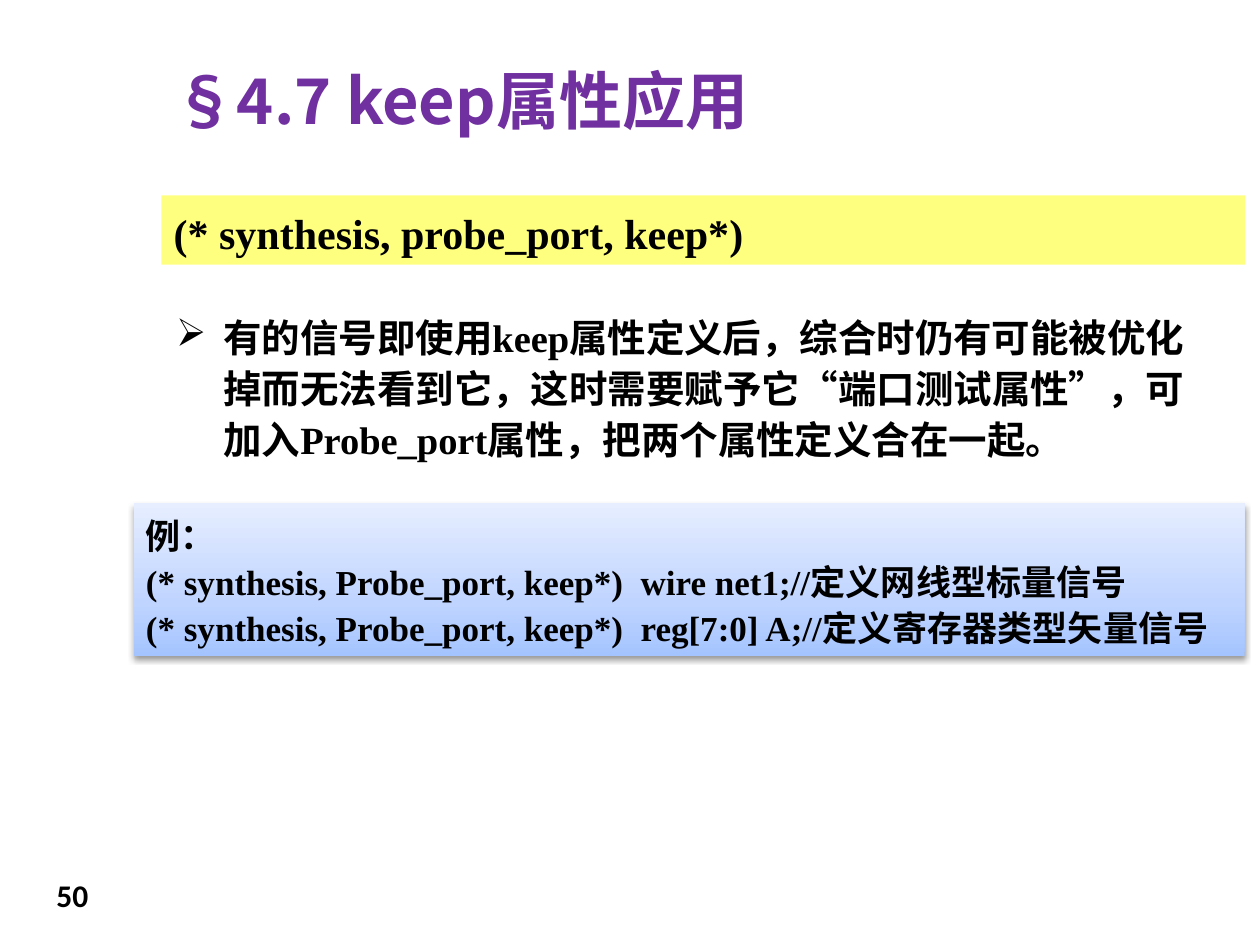
import pptx
import pptx.util
import pptx.dml.color
import pptx.enum.shapes
import pptx.enum.text
import pptx.oxml
import pptx.oxml.ns
from lxml import etree

Pt = pptx.util.Pt
RGBColor = pptx.dml.color.RGBColor
ANCHOR = pptx.enum.text.MSO_ANCHOR
NAMESPACE = pptx.oxml.ns.nsdecls("a")

PURPLE = RGBColor(0x70, 0x30, 0xA0)
BLACK = RGBColor(0, 0, 0)
YELLOW = RGBColor(0xFF, 0xFF, 0)
GRADIENT = [(0, RGBColor(0xA4, 0xC4, 0xFF)),
            (35, RGBColor(0xBF, 0xD4, 0xFF)),
            (100, RGBColor(0xE6, 0xEE, 0xFF))]
CJK, SERIF, SANS = "Noto Sans CJK SC", "Times New Roman", "Calibri"

# Content
TITLE = "§4.7 keep属性应用"
SYNTAX = "(* synthesis, probe_port, keep*)"
EXPLANATION = ("有的信号即使用keep属性定义后，综合时仍有可能被优化掉而无法看到它，"
               "这时需要赋予它“端口测试属性”，可加入Probe_port属性，"
               "把两个属性定义合在一起。")
EXAMPLE = ["例：",
           "(* synthesis, Probe_port, keep*)  wire net1;//定义网线型标量信号",
           "(* synthesis, Probe_port, keep*)  reg[7:0] A;//定义寄存器类型矢量信号"]
PAGE_NUMBER = "50"

# Places: left, top, width, height in points
TITLE_AREA = (92.2, 34.6, 568, 44.6)
SYNTAX_AREA = (92.2, 111.6, 619.2, 39.6)
EXPLANATION_AREA = (93.6, 173.5, 595.4, 95)
EXAMPLE_AREA = (76.3, 287.3, 635, 87.8)
NUMBER_AREA = (25.2, 496.8, 45.4, 32.4)


def points(area):
    return [Pt(length) for length in area]


def write(shape, lines, size, font, color=BLACK, spacing=None, anchor=ANCHOR.TOP):
    frame = shape.text_frame
    frame.text = "\n".join(lines)
    frame.word_wrap = True
    frame.auto_size = pptx.enum.text.MSO_AUTO_SIZE.NONE
    frame.vertical_anchor = anchor
    for para in frame.paragraphs:
        para.alignment = pptx.enum.text.PP_ALIGN.LEFT
        para.line_spacing = spacing
        for span in para.runs:
            span.font.size = Pt(size)
            span.font.bold = True
            span.font.name = font
            span.font.color.rgb = color
            east_asian = etree.SubElement(span.font._element, pptx.oxml.ns.qn("a:ea"))
            east_asian.set("typeface", CJK)
    return frame


def add_panel(page, area):
    panel = page.shapes.add_shape(pptx.enum.shapes.MSO_SHAPE.RECTANGLE, *points(area))
    panel.shadow.inherit = False
    panel.line.fill.background()
    return panel


deck = pptx.Presentation()
deck.slide_width, deck.slide_height = Pt(720), Pt(540)
page = deck.slides.add_slide(deck.slide_layouts[5])

# Title
title = page.shapes.title
title.left, title.top, title.width, title.height = points(TITLE_AREA)
write(title, [TITLE], 36, CJK, PURPLE, anchor=ANCHOR.MIDDLE)

# Explanation with arrow bullet
box = page.shapes.add_textbox(*points(EXPLANATION_AREA))
para = write(box, [EXPLANATION], 22, SERIF, spacing=1.1).paragraphs[0]
para.space_after = Pt(6)
properties = para._p.get_or_add_pPr()
properties.set("marL", str(Pt(27)))
properties.set("indent", str(-Pt(27)))
for bullet in (f'<a:buClr {NAMESPACE}><a:srgbClr val="{BLACK}"/></a:buClr>',
               f'<a:buChar {NAMESPACE} char="➢"/>'):
    properties.append(pptx.oxml.parse_xml(bullet))

# Example panel with gradient and soft shadow
panel = add_panel(page, EXAMPLE_AREA)
frame = write(panel, EXAMPLE, 20, SERIF, spacing=1.1, anchor=ANCHOR.MIDDLE)
frame.paragraphs[0].runs[0].font.name = SANS
panel.fill.gradient()
stops = "".join(f'<a:gs pos="{position * 1000}"><a:srgbClr val="{color}"/></a:gs>'
                for position, color in GRADIENT)
gradient = pptx.oxml.parse_xml(
    f'<a:gradFill {NAMESPACE} rotWithShape="1"><a:gsLst>{stops}</a:gsLst>'
    '<a:lin ang="16200000" scaled="0"/></a:gradFill>')
old_gradient = panel._element.spPr.find(pptx.oxml.ns.qn("a:gradFill"))
panel._element.spPr.replace(old_gradient, gradient)
effects = panel._element.spPr.find(pptx.oxml.ns.qn("a:effectLst"))
effects.append(pptx.oxml.parse_xml(
    f'<a:outerShdw {NAMESPACE} blurRad="{Pt(3.1)}" dist="{Pt(1.6)}" dir="5400000" '
    f'rotWithShape="0"><a:srgbClr val="{BLACK}"><a:alpha val="38000"/>'
    '</a:srgbClr></a:outerShdw>'))

# Syntax panel, half transparent
panel = add_panel(page, SYNTAX_AREA)
write(panel, [SYNTAX], 24, SERIF, spacing=1.1, anchor=ANCHOR.MIDDLE)
panel.fill.solid()
panel.fill.fore_color.rgb = YELLOW
color = panel._element.spPr.find(".//" + pptx.oxml.ns.qn("a:srgbClr"))
etree.SubElement(color, pptx.oxml.ns.qn("a:alpha")).set("val", "50000")

# Page number
write(page.shapes.add_textbox(*points(NUMBER_AREA)), [PAGE_NUMBER], 18, SANS)

deck.save("out.pptx")
